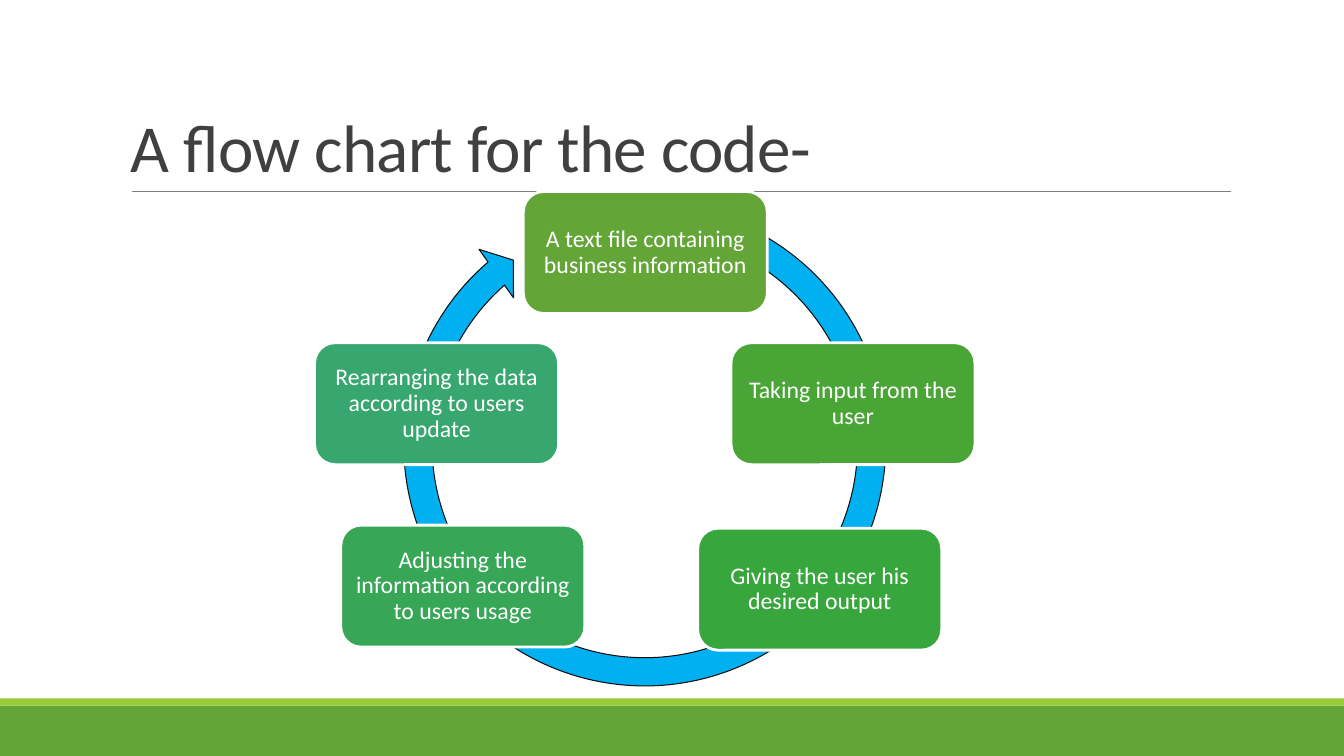
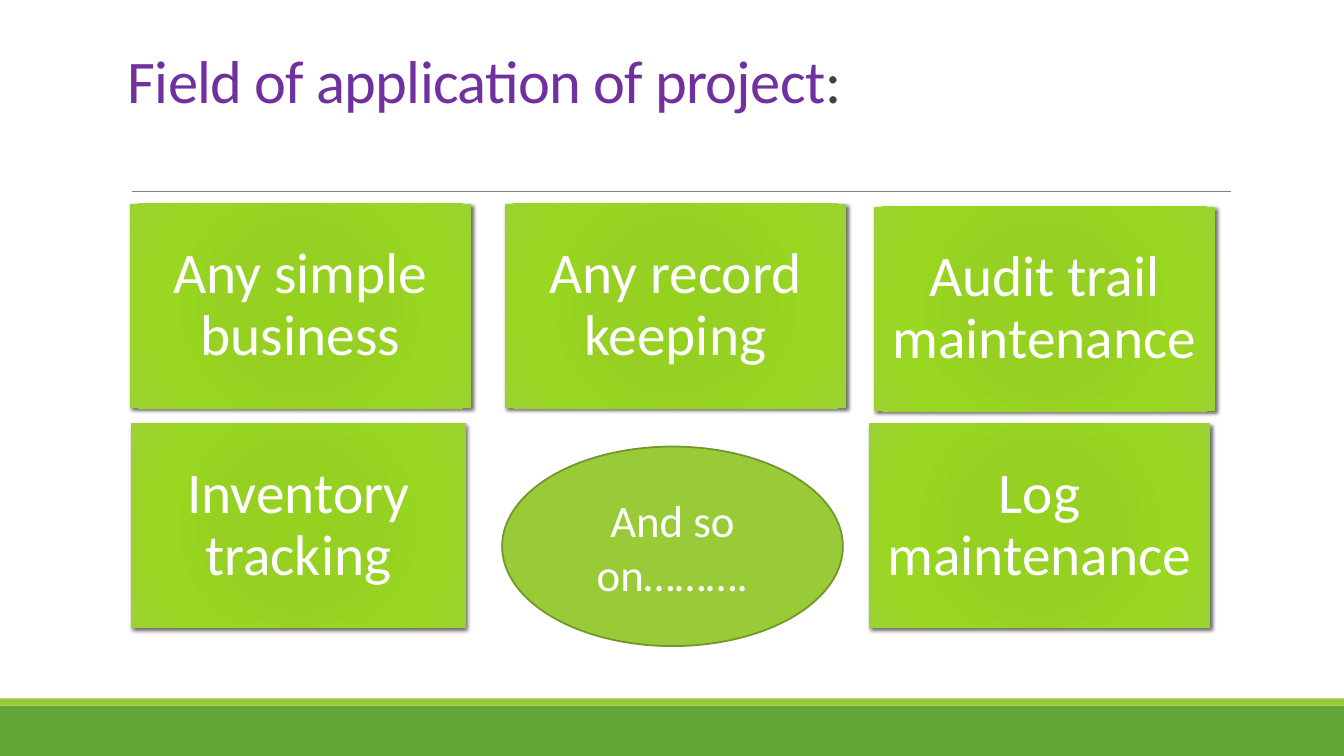
import pptx
import pptx.util
import pptx.oxml
import pptx.oxml.ns
from pptx.dml.color import RGBColor
from pptx.enum.shapes import MSO_CONNECTOR, MSO_SHAPE
from pptx.enum.text import MSO_ANCHOR, PP_ALIGN
from pptx.util import Inches, Pt

FONT = "Calibri"
WHITE = RGBColor(0xFF, 0xFF, 0xFF)
DARK = RGBColor(0x40, 0x40, 0x40)
PURPLE = RGBColor(0x70, 0x30, 0xA0)
GREEN = RGBColor(0x63, 0xA5, 0x37)
LIME = RGBColor(0x99, 0xCB, 0x38)
LIME_EDGE = RGBColor(0x71, 0x96, 0x29)
RULE_GRAY = RGBColor(0x80, 0x80, 0x80)
CYCLE_BLUE = RGBColor(0x00, 0xB0, 0xF0)
CYCLE_EDGE = RGBColor(0x0D, 0x0D, 0x0D)
TILE_STOPS = (
    (0, RGBColor(0x95, 0xD2, 0x20)),
    (34, RGBColor(0x96, 0xD0, 0x23)),
    (70, RGBColor(0x99, 0xD7, 0x20)),
    (100, RGBColor(0x9B, 0xD2, 0x31)),
)

STEP_SIZE = (2.42, 1.21)
STEPS = (
    ("A text file containing business information", 5.19, 1.9, GREEN),
    ("Taking input from the user", 7.25, 3.4, RGBColor(0x4A, 0xA5, 0x37)),
    ("Giving the user his desired output", 6.92, 5.24, RGBColor(0x37, 0xA6, 0x3D)),
    ("Adjusting the information according to users usage", 3.38, 5.21, RGBColor(0x37, 0xA6, 0x56)),
    ("Rearranging the data according to users update", 3.12, 3.4, RGBColor(0x37, 0xA7, 0x6F)),
)
TILE_HEIGHT = 2.03
FIELDS = (
    ("Any simple business", 1.29, 2.02, 3.38),
    ("Any record keeping", 5.01, 2.02, 3.38),
    ("Audit trail maintenance", 8.67, 2.05, 3.38),
    ("Inventory tracking", 1.3, 4.2, 3.32),
    ("Log maintenance", 8.62, 4.2, 3.38),
)


def add_run(paragraph, text, size, color):
    run = paragraph.add_run()
    run.text = text
    run.font.name = FONT
    run.font.size = Pt(size)
    run.font.color.rgb = color
    return run


def add_figure(slide, preset, box, fill, edge=None, edge_width=0):
    figure = slide.shapes.add_shape(preset, *map(Inches, box))
    figure.shadow.inherit = False
    figure.fill.solid()
    figure.fill.fore_color.rgb = fill
    if edge is None:
        figure.line.fill.background()
    else:
        figure.line.color.rgb = edge
        figure.line.width = Pt(edge_width)
    return figure


def add_label(figure, text, size, inset, spacing=0.9):
    frame = figure.text_frame
    frame.word_wrap = True
    frame.vertical_anchor = MSO_ANCHOR.MIDDLE
    frame.margin_left = frame.margin_right = Inches(inset)
    frame.margin_top = frame.margin_bottom = Inches(inset)
    paragraph = frame.paragraphs[0]
    paragraph.alignment = PP_ALIGN.CENTER
    paragraph.line_spacing = spacing
    add_run(paragraph, text, size, WHITE)


def add_title(slide, box, size, runs):
    frame = slide.shapes.add_textbox(*map(Inches, box)).text_frame
    frame.word_wrap = True
    frame.vertical_anchor = MSO_ANCHOR.BOTTOM
    paragraph = frame.paragraphs[0]
    paragraph.line_spacing = 0.85
    for text, color in runs:
        run = add_run(paragraph, text, size, color)
        run.font._element.set("spc", "-50")


def add_base_slide(deck):
    slide = deck.slides.add_slide(deck.slide_layouts[6])
    add_figure(slide, MSO_SHAPE.RECTANGLE, (0, 7, 13.33, 0.5), GREEN)
    add_figure(slide, MSO_SHAPE.RECTANGLE, (0, 6.93, 13.33, 0.07), LIME)
    title_rule = slide.shapes.add_connector(
        MSO_CONNECTOR.STRAIGHT, Inches(1.31), Inches(1.9), Inches(12.21), Inches(1.9))
    title_rule.line.color.rgb = RULE_GRAY
    title_rule.line.width = Pt(0.5)
    title_rule._element.spPr.append(pptx.oxml.parse_xml(
        f'<a:effectLst {pptx.oxml.ns.nsdecls("a")}/>'))
    return slide


def add_glow_and_shadow(tile):
    namespace = pptx.oxml.ns.nsdecls("a")
    stops = "".join(
        f'<a:gs pos="{position * 1000}"><a:srgbClr val="{color}"/></a:gs>'
        for position, color in TILE_STOPS)
    properties = tile._element.spPr
    properties.replace(
        properties.find(pptx.oxml.ns.qn("a:solidFill")),
        pptx.oxml.parse_xml(
            f'<a:gradFill {namespace} rotWithShape="1"><a:gsLst>{stops}</a:gsLst>'
            '<a:path path="circle"><a:fillToRect l="100000" t="100000" '
            'r="100000" b="100000"/></a:path></a:gradFill>'))
    properties.find(pptx.oxml.ns.qn("a:effectLst")).append(pptx.oxml.parse_xml(
        f'<a:outerShdw {namespace} blurRad="{Pt(3)}" dist="{Pt(2)}" dir="2700000" '
        'algn="ctr" rotWithShape="0"><a:srgbClr val="000000">'
        '<a:alpha val="60000"/></a:srgbClr></a:outerShdw>'))


def build_flow_chart(deck):
    slide = add_base_slide(deck)
    add_title(slide, (1.2, 0.31, 11, 1.59), 48, [("A flow chart for the code-", DARK)])
    cycle = add_figure(slide, MSO_SHAPE.CIRCULAR_ARROW, (3.85, 1.87, 5.09, 5.09),
                       CYCLE_BLUE, CYCLE_EDGE, 0.75)
    for index, value in enumerate((0.055, 3.307, 137.466, 174.038, 0.058)):
        cycle.adjustments[index] = value
    for text, left, top, color in STEPS:
        step = add_figure(slide, MSO_SHAPE.ROUNDED_RECTANGLE, (left, top, *STEP_SIZE),
                          color, WHITE, 2)
        add_label(step, text, 17, 0.07)


def build_applications(deck):
    slide = add_base_slide(deck)
    add_title(slide, (1.17, 0.43, 11, 0.77), 43.2,
              [("Field of application of project", PURPLE), (":", DARK)])
    for text, left, top, width in FIELDS:
        tile = add_figure(slide, MSO_SHAPE.RECTANGLE, (left, top, width, TILE_HEIGHT), LIME)
        add_glow_and_shadow(tile)
        add_label(tile, text, 41, 0.17)
    others = add_figure(slide, MSO_SHAPE.OVAL, (4.98, 4.43, 3.38, 1.98), LIME, LIME_EDGE, 1.25)
    add_label(others, "And so on……….", 32, 0.1, 1.0)


def main():
    deck = pptx.Presentation()
    deck.slide_width = Inches(13.33)
    deck.slide_height = Inches(7.5)
    build_flow_chart(deck)
    build_applications(deck)
    deck.save("out.pptx")


if __name__ == "__main__":
    main()
